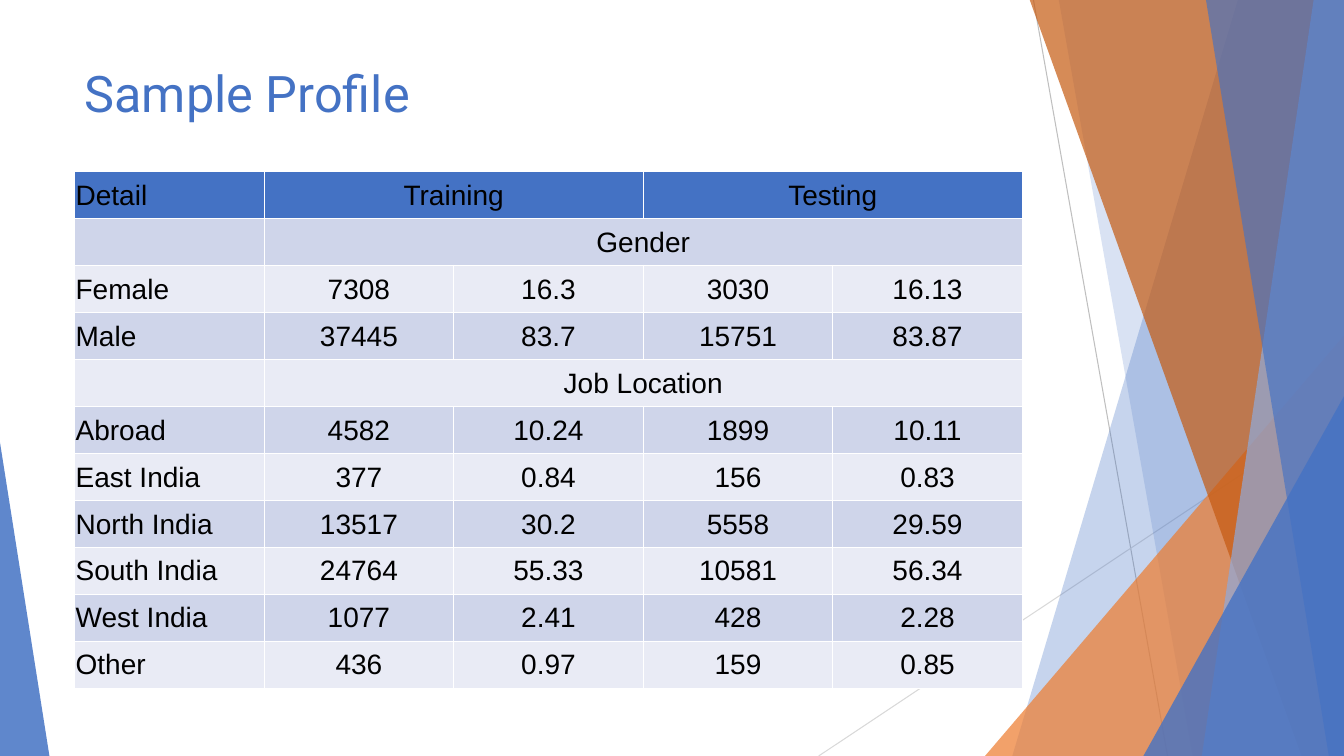
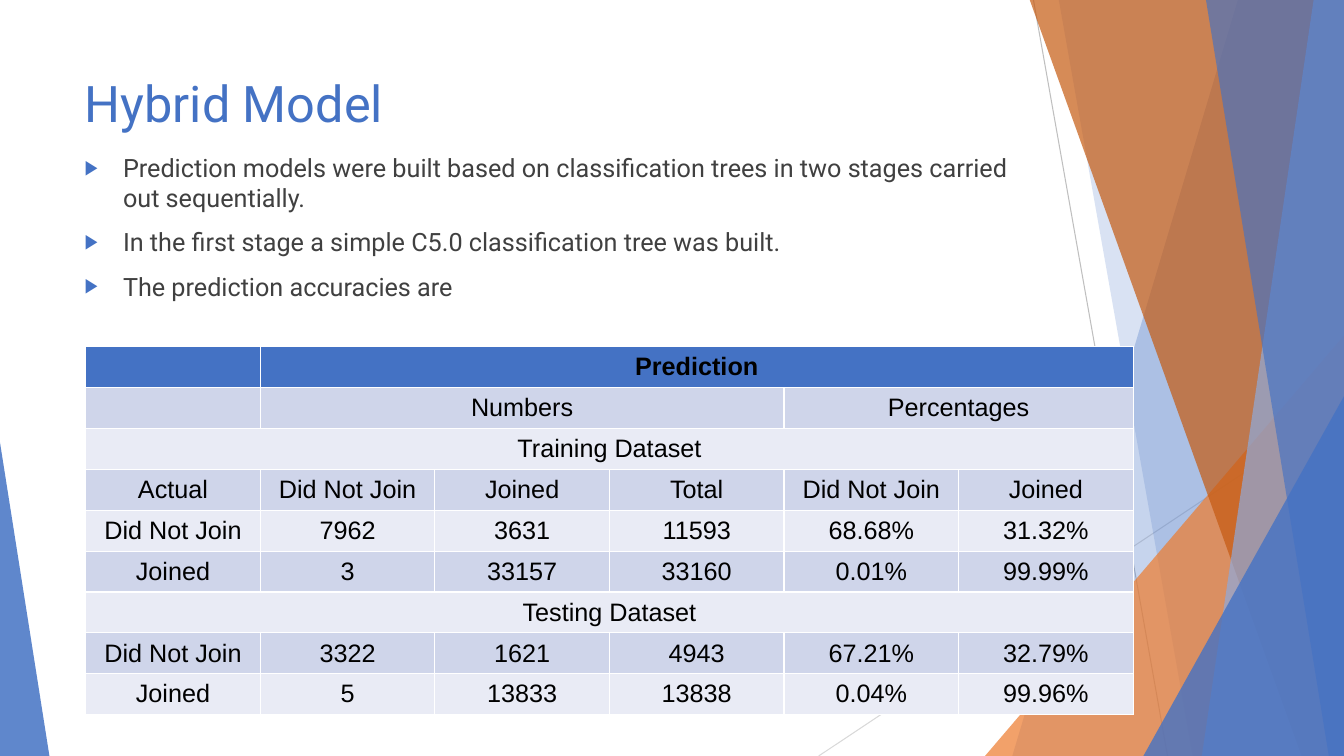
"""Build two slides, a sample profile and a hybrid model, on a shared faceted backdrop."""
import dataclasses

import pptx
import pptx.dml.color
import pptx.enum.shapes
import pptx.enum.text
import pptx.oxml
import pptx.oxml.ns
import pptx.util
from lxml import etree

PX_PER_INCH = 100
SCALE = pptx.util.Inches(1) // PX_PER_INCH
WIDTH, HEIGHT = 1333, 750


@dataclasses.dataclass(frozen=True)
class Theme:
    blue: str = "4472C4"
    light_blue: str = "8FAADC"
    orange: str = "ED7D31"
    dark_orange: str = "C55A11"
    grey: str = "BFBFBF"
    light_grey: str = "D9D9D9"
    black: str = "000000"
    body: str = "404040"
    band_dark: str = "CFD5EA"
    band_light: str = "E9EBF5"
    text_font: str = "Roboto"
    table_font: str = "Arial"
    title_size: int = 36
    body_size: int = 18


def px(n):
    return pptx.util.Emu(n * SCALE)


def style(p, font, size, color, bold=False):
    for r in p.runs:
        r.font.name = font
        r.font.size = pptx.util.Pt(size)
        r.font.bold = bold
        r.font.color.rgb = pptx.dml.color.RGBColor.from_string(color)


theme = Theme()
qn = pptx.oxml.ns.qn
PP_ALIGN = pptx.enum.text.PP_ALIGN
ANCHOR = pptx.enum.text.MSO_ANCHOR
TRIANGLE = pptx.enum.shapes.MSO_SHAPE.ISOSCELES_TRIANGLE
STRAIGHT = pptx.enum.shapes.MSO_CONNECTOR.STRAIGHT

prs = pptx.Presentation()
prs.slide_width, prs.slide_height = px(WIDTH), px(HEIGHT)
profile = prs.slides.add_slide(prs.slide_layouts.get_by_name("Title Only"))
hybrid = prs.slides.add_slide(prs.slide_layouts.get_by_name("Title and Content"))

backdrop = profile.shapes.add_group_shape()
for x1, y1, x2, y2, color in [
    (1025, 0, 1158, HEIGHT, theme.grey),
    (WIDTH, 403, 812, HEIGHT, theme.light_grey),
]:
    line = backdrop.shapes.add_connector(STRAIGHT, px(x1), px(y1), px(x2), px(y2))
    line.line.color.rgb = pptx.dml.color.RGBColor.from_string(color)
    line.line.width = pptx.util.Pt(0.75)
    etree.SubElement(line.element.find(qn("p:spPr")), qn("a:effectLst"))

facets = [
    ("band", (1228, 1004), theme.blue, 30),
    ("band", (1050, 1183), theme.blue, 20),
    ("triangle", (977, 333, 356, 1), theme.orange, 72),
    ("band", (1021, 1291), theme.dark_orange, 70),
    ("band", (1303, 1192), theme.light_blue, 70),
    ("band", (1196, 1318), theme.blue, 65),
    ("triangle", (1134, 393, 199, 1), theme.blue, 80),
    ("triangle", (0, 439, 49, 0), theme.blue, 85),
]
for kind, geometry, color, opacity in facets:
    if kind == "band":
        top_x, bottom_x = geometry
        outline = backdrop.shapes.build_freeform(top_x, -1, scale=SCALE)
        outline.add_line_segments([(WIDTH, -1), (WIDTH, HEIGHT), (bottom_x, HEIGHT)])
        sp = outline.convert_to_shape()
    else:
        left, top, width, apex = geometry
        sp = backdrop.shapes.add_shape(TRIANGLE, px(left), px(top), px(width), px(HEIGHT - top))
        sp.adjustments[0] = apex
    sp.shadow.inherit = False
    sp.line.fill.background()
    sp.fill.solid()
    sp.fill.fore_color.rgb = pptx.dml.color.RGBColor.from_string(color)
    rgb = sp.element.find(qn("p:spPr")).find(qn("a:solidFill")).find(qn("a:srgbClr"))
    etree.SubElement(rgb, qn("a:alpha")).set("val", str(opacity * 1000))

for shape_id, props in enumerate(backdrop.element.iter(qn("p:cNvPr")), 100):
    props.set("id", str(shape_id))
prs.slide_master.shapes.element.insert(2, backdrop.element)

for slide, text, top, height in [
    (profile, "Sample Profile", 57, 113),
    (hybrid, "Hybrid Model", 67, 93),
]:
    title = slide.shapes.title
    title.left, title.top, title.width, title.height = px(74), px(top), px(940), px(height)
    tf = title.text_frame
    tf.text = text
    tf.vertical_anchor = ANCHOR.TOP
    tf.auto_size = pptx.enum.text.MSO_AUTO_SIZE.NONE
    tf.paragraphs[0].alignment = PP_ALIGN.LEFT
    style(tf.paragraphs[0], theme.text_font, theme.title_size, theme.blue)

body = hybrid.placeholders[1]
body.left, body.top, body.width, body.height = px(74), px(146), px(940), px(159)
tf = body.text_frame
tf.auto_size = pptx.enum.text.MSO_AUTO_SIZE.NONE
tf.text = "\n".join([
    "Prediction models were built based on classification trees in two stages carried out sequentially.",
    "In the first stage a simple C5.0 classification tree was built.",
    "The prediction accuracies are",
])
for p in tf.paragraphs:
    p.space_before = pptx.util.Pt(10)
    style(p, theme.text_font, theme.body_size, theme.body)
    pPr = p.runs[0].font._element.getparent().getparent().find(qn("a:pPr"))
    pPr.set("marL", str(px(38)))
    pPr.set("indent", str(-px(38)))
    bullet_color = etree.SubElement(pPr, qn("a:buClr"))
    etree.SubElement(bullet_color, qn("a:srgbClr")).set("val", theme.blue)
    etree.SubElement(pPr, qn("a:buSzPct")).set("val", "80000")
    etree.SubElement(pPr, qn("a:buFont")).set("typeface", theme.table_font)
    etree.SubElement(pPr, qn("a:buChar")).set("char", "▶")

profile_rows = [
    ["Detail", "Training", None, "Testing", None],
    ["", "Gender", None, None, None],
    ["Female", "7308", "16.3", "3030", "16.13"],
    ["Male", "37445", "83.7", "15751", "83.87"],
    ["", "Job Location", None, None, None],
    ["Abroad", "4582", "10.24", "1899", "10.11"],
    ["East India", "377", "0.84", "156", "0.83"],
    ["North India", "13517", "30.2", "5558", "29.59"],
    ["South India", "24764", "55.33", "10581", "56.34"],
    ["West India", "1077", "2.41", "428", "2.28"],
    ["Other", "436", "0.97", "159", "0.85"],
]
hybrid_rows = [
    ["", "Prediction", None, None, None, None],
    ["", "Numbers", None, None, "Percentages", None],
    ["Training Dataset", None, None, None, None, None],
    ["Actual", "Did Not Join", "Joined", "Total", "Did Not Join", "Joined"],
    ["Did Not Join", "7962", "3631", "11593", "68.68%", "31.32%"],
    ["Joined", "3", "33157", "33160", "0.01%", "99.99%"],
    ["Testing Dataset", None, None, None, None, None],
    ["Did Not Join", "3322", "1621", "4943", "67.21%", "32.79%"],
    ["Joined", "5", "13833", "13838", "0.04%", "99.96%"],
]
tables = [
    (profile, profile_rows, (74, 170, 940, 513), 20, (1, 1, 1, 0), PP_ALIGN.LEFT, False),
    (hybrid, hybrid_rows, (85, 344, 1039, 365), 18, (7, 0, 7, 0), PP_ALIGN.CENTER, True),
]
for slide, rows, box, size, insets, label_align, bold_header in tables:
    frame = slide.shapes.add_table(len(rows), len(rows[0]), *[px(n) for n in box])
    table = frame.table
    for i, row in enumerate(rows):
        band = theme.band_dark if i % 2 else theme.band_light
        fill = band if i else theme.blue
        for j, text in enumerate(row):
            cell = table.cell(i, j)
            cell.fill.solid()
            cell.fill.fore_color.rgb = pptx.dml.color.RGBColor.from_string(fill)
            cell.vertical_anchor = ANCHOR.MIDDLE
            cell.margin_left, cell.margin_top, cell.margin_right, cell.margin_bottom = map(px, insets)
            if text is None:
                continue
            end = j + 1
            while end < len(row) and row[end] is None:
                end += 1
            if end > j + 1:
                cell.merge(table.cell(i, end - 1))
            cell.text_frame.text = text
            p = cell.text_frame.paragraphs[0]
            p.alignment = PP_ALIGN.CENTER if j else label_align
            style(p, theme.table_font, size, theme.black, bold_header and i == 0)

prs.save("out.pptx")
